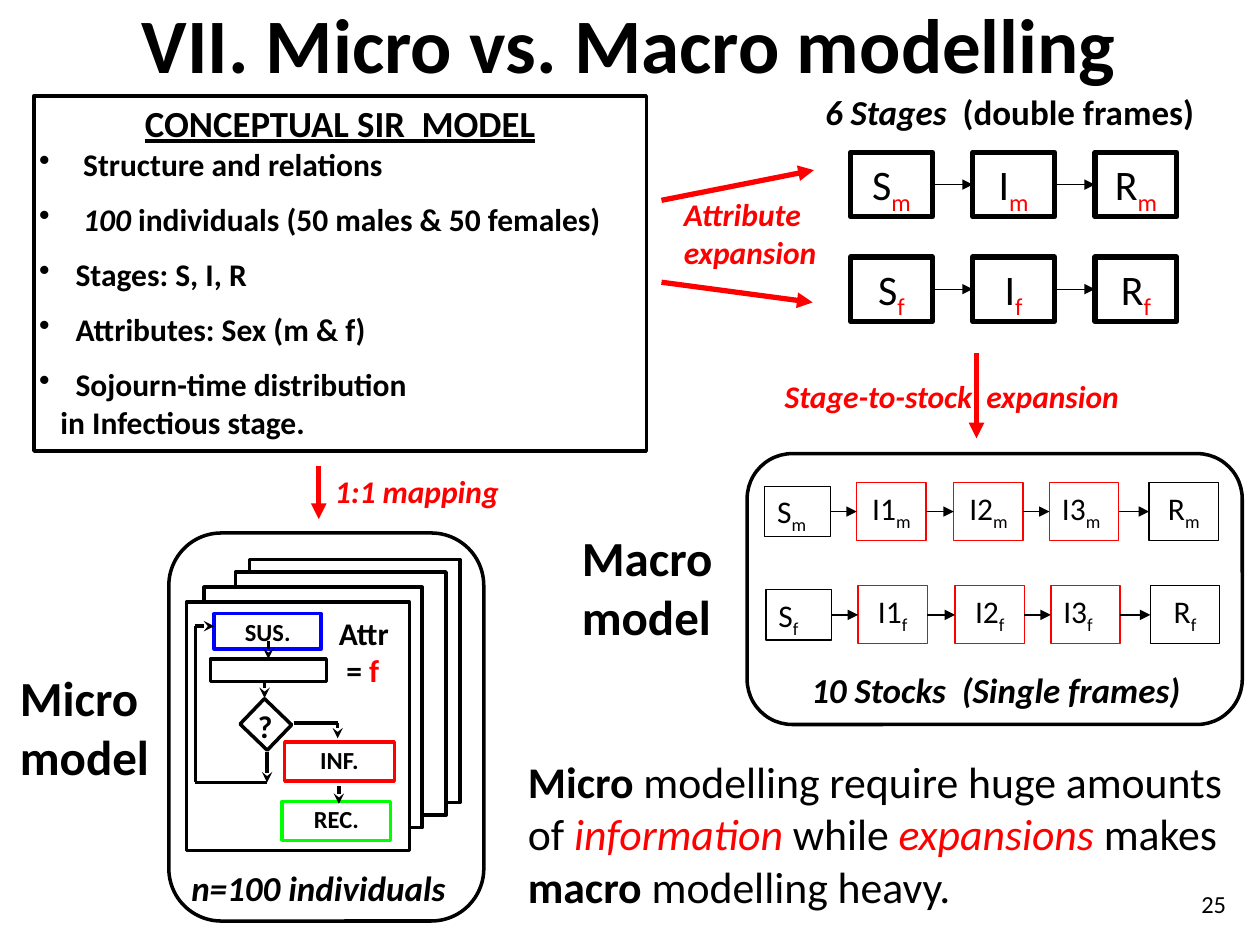
"""Build the slide that compares micro and macro modelling of an SIR model."""
from dataclasses import dataclass, replace
from typing import NamedTuple, Optional

from lxml import etree
from pptx import Presentation
from pptx.dml.color import RGBColor
from pptx.enum.shapes import MSO_CONNECTOR, MSO_SHAPE
from pptx.enum.text import MSO_ANCHOR, PP_ALIGN
from pptx.oxml.ns import qn
from pptx.util import Inches, Pt

RECTANGLE, ROUNDED = MSO_SHAPE.RECTANGLE, MSO_SHAPE.ROUNDED_RECTANGLE
STRAIGHT = MSO_CONNECTOR.STRAIGHT
LEFT, CENTER, RIGHT = PP_ALIGN.LEFT, PP_ALIGN.CENTER, PP_ALIGN.RIGHT
TOP, MIDDLE = MSO_ANCHOR.TOP, MSO_ANCHOR.MIDDLE
COLORS = {"ink": "000000", "paper": "FFFFFF", "red": "FF0000", "green": "00FF00", "blue": "0000FF"}
FONT = "Calibri"
WIDTH, HEIGHT = Inches(10), Inches(7.5)
COLUMN, ROW = WIDTH / 100, HEIGHT / 75


class Area(NamedTuple):
    left: float
    top: float
    width: float
    height: float


class Span(NamedTuple):
    text: str
    color: Optional[str] = None
    bold: Optional[bool] = None
    italic: Optional[bool] = None
    lowered: bool = False


@dataclass(frozen=True)
class Para:
    spans: tuple
    size: float = 18
    color: str = "ink"
    bold: Optional[bool] = None
    italic: Optional[bool] = None
    underline: Optional[bool] = None
    align: int = LEFT
    before: float = 0
    spacing: float = 1
    indent: float = 0
    bullet: bool = False


@dataclass(frozen=True)
class Box:
    area: Area
    line: Optional[str] = "ink"
    weight: float = 2
    paras: tuple = ()
    fill: Optional[str] = None
    kind: int = RECTANGLE
    turn: float = 0
    inset: float = 0.1
    inset_top: float = 0.05
    anchor: int = TOP


class Arrow(NamedTuple):
    start: tuple
    end: tuple
    color: str = "ink"
    weight: float = 2
    head: Optional[str] = "stealth"


def rgb(name: str) -> RGBColor:
    return RGBColor.from_string(COLORS[name])


def write_para(paragraph, para: Para) -> None:
    paragraph.alignment = para.align
    paragraph.line_spacing = para.spacing
    if para.before:
        paragraph.space_before = Pt(para.before)
    properties = paragraph._p.get_or_add_pPr()
    if para.indent:
        properties.set("marL", str(Inches(para.indent)))
    if para.bullet:
        properties.set("indent", str(-Inches(para.indent)))
        etree.SubElement(properties, qn("a:buChar")).set("char", "•")
    font = paragraph.font
    font.name, font.size, font.underline = FONT, Pt(para.size), para.underline
    font.bold, font.italic = para.bold, para.italic
    font.color.rgb = rgb(para.color)
    for span in para.spans:
        run = paragraph.add_run()
        run.text = span.text
        if span.bold is not None:
            run.font.bold = span.bold
        if span.italic is not None:
            run.font.italic = span.italic
        if span.color:
            run.font.color.rgb = rgb(span.color)
        if span.lowered:
            run._r.get_or_add_rPr().set("baseline", "-25000")


def draw_box(page, box: Box):
    left, top, width, height = box.area
    place = [round(value) for value in (left * COLUMN, top * ROW, width * COLUMN, height * ROW)]
    if box.line is None:
        shape = page.shapes.add_textbox(*place)
    else:
        shape = page.shapes.add_shape(box.kind, *place)
        shape.shadow.inherit = False
        shape.rotation = box.turn
        shape.line.color.rgb = rgb(box.line)
        shape.line.width = Pt(box.weight)
        if box.fill:
            shape.fill.solid()
            shape.fill.fore_color.rgb = rgb(box.fill)
        else:
            shape.fill.background()
    frame = shape.text_frame
    frame.word_wrap = True
    frame.vertical_anchor = box.anchor
    frame.margin_left = frame.margin_right = Inches(box.inset)
    frame.margin_top = frame.margin_bottom = Inches(box.inset_top)
    for index, para in enumerate(box.paras):
        write_para(frame.add_paragraph() if index else frame.paragraphs[0], para)
    return shape


def draw_arrow(page, arrow: Arrow):
    (x1, y1), (x2, y2) = arrow.start, arrow.end
    ends = (x1 * COLUMN, y1 * ROW, x2 * COLUMN, y2 * ROW)
    connector = page.shapes.add_connector(STRAIGHT, *(round(value) for value in ends))
    connector.line.color.rgb = rgb(arrow.color)
    connector.line.width = Pt(arrow.weight)
    if arrow.head:
        etree.SubElement(connector.line._get_or_add_ln(), qn("a:tailEnd")).set("type", arrow.head)
    etree.SubElement(connector._element.spPr, qn("a:effectLst"))
    return connector


def draw_chain(page, boxes: list) -> None:
    shapes = [draw_box(page, box) for box in boxes]
    for before, after in zip(shapes, shapes[1:]):
        connector = draw_arrow(page, Arrow((0, 0), (1, 1), weight=0.75, head="triangle"))
        connector.begin_connect(before, 3)
        connector.end_connect(after, 1)


def label(area: Area, text: str, size: float = 18, **style) -> Box:
    return Box(area, None, paras=(Para((Span(text),), size, bold=True, **style),))


def symbol(name: str, sex: str, size: float, align: int, color: str) -> tuple:
    return (Para((Span(name), Span(sex, color, lowered=True)), size, align=align),)


def state(area: Area, text: str, color: str) -> Box:
    return Box(area, color, paras=(Para((Span(text),), 14, bold=True, align=CENTER, spacing=0.9),))


def stages(sex: str, top: float) -> list:
    return [Box(Area(67.5 + 9.7 * index, top, 6.5, 5.1), weight=3, paras=symbol(name, sex, 24, CENTER, "red"))
            for index, name in enumerate("SIR")]


def stocks(sex: str, shift: float, middle: float) -> list:
    cells = [("S", 60.7, 5.2, 4, LEFT, "ink"), ("I1", 68, 5.5, 4.6, CENTER, "red"),
             ("I2", 75.7, 5.5, 4.6, CENTER, "red"), ("I3", 83.3, 5.5, 4.6, LEFT, "red"),
             ("R", 91.2, 5.5, 4.6, CENTER, "ink")]
    return [Box(Area(left + shift, middle - height / 2, width, height), line, 0.75, symbol(name, sex, 18, align, "ink"))
            for name, left, width, height, align, line in cells]


ITEM = Para((), bold=True, before=9.8, indent=0.29, bullet=True)
CONCEPT = (
    Para((Span("CONCEPTUAL SIR  MODEL"),), 21, bold=True, underline=True, align=CENTER),
    replace(ITEM, spans=(Span("Structure and relations"),), before=0, indent=0.35),
    replace(ITEM, spans=(Span("100", italic=True), Span(" individuals (50 males & 50 females)")), indent=0.35),
    *(replace(ITEM, spans=(Span(text),))
      for text in ("Stages: S, I, R", "Attributes: Sex (m & f)", "Sojourn-time distribution")),
    replace(ITEM, spans=(Span("in Infectious stage."),), before=0, indent=0.17, bullet=False),
)
CLAIM = (Span("Micro", bold=True), Span(" modelling require huge amounts of "), Span("information", "red", italic=True),
         Span(" while "), Span("expansions", "red", italic=True), Span(" makes "), Span("macro", bold=True),
         Span(" modelling heavy."))
CARDS = [Area(19.8, 44.4, 16.7, 19.3), Area(18.7, 45.4, 16.7, 19.3),
         Area(16.2, 46.6, 17.3, 19.1), Area(14.8, 47.8, 17.7, 19.7)]
BOXES = [
    Box(Area(93.3, 70.1, 5, 4.9), None, paras=(Para((Span("25"),), 14, align=RIGHT),)),
    replace(label(Area(10.8, 0.9, 78.3, 4.9), "VII. Micro vs. Macro modelling", 44, align=CENTER),
            inset=0.02, anchor=MIDDLE),
    Box(Area(64.5, 6.7, 34.7, 4.4), None, paras=(
        Para((Span("6 Stages  ", italic=True), Span("(double frames)")), 20, bold=True),)),
    label(Area(61.3, 29.4, 31.7, 4), "Stage-to-stock  expansion", color="red", italic=True),
    label(Area(53.3, 15, 13, 7.1), "Attribute expansion", color="red", italic=True),
    Box(Area(2.7, 7.6, 48.6, 28.2), paras=CONCEPT, fill="paper", inset=0.04, inset_top=0.04),
    label(Area(25.6, 37, 16.7, 4), "1:1 mapping", color="red", italic=True),
    label(Area(63.4, 52.6, 35.8, 4.4), "10 Stocks  (Single frames)", 20, italic=True),
    Box(Area(59.3, 36, 39.3, 21.5), kind=ROUNDED),
    label(Area(45.2, 41.4, 13.6, 10.4), "Macro model", 28),
    Box(Area(13.4, 42.3, 25, 30.8), kind=ROUNDED),
    *(Box(card, fill="paper") for card in CARDS),
    state(Area(22.6, 58.9, 8.7, 3.1), "INF.", "red"),
    Box(Area(19.6, 56.1, 3, 2.8), turn=43.9),
    label(Area(18.8, 56.1, 4.5, 3.6), "?", align=CENTER, spacing=0.85),
    state(Area(22.4, 63.6, 8.6, 3.1), "REC.", "green"),
    state(Area(17, 48.7, 8.5, 2.8), "SUS.", "blue"),
    label(Area(14.2, 68.3, 23.6, 4.4), "n=100 individuals", 20, italic=True),
    label(Area(0.6, 52.5, 12.3, 10.4), "Micro model", 28),
    Box(Area(25.9, 48.2, 9.2, 7.1), None, paras=(
        Para((Span("Attr"),), bold=True), Para((Span("= "), Span("f", "red")), bold=True, indent=0.06))),
    Box(Area(41.7, 59.4, 56.6, 13.6), None, paras=(Para(CLAIM, 25),), inset=0.02),
]
EXPANSIONS = [((77.5, 28), (77.5, 34.8)), ((52.5, 22.4), (64.5, 24)),
              ((52.5, 15.9), (64.6, 13.5)), ((25.3, 37), (25.3, 41.2))]
ARROWS = [
    *(Arrow(start, end, "red", 3, "triangle") for start, end in EXPANSIONS),
    Arrow((23.3, 57.4), (26.8, 57.4), head=None), Arrow((26.8, 57.4), (26.8, 58.6)),
    Arrow((21.2, 59.7), (21.2, 62.1)), Arrow((15.5, 62.1), (21.2, 62.1), head=None),
    Arrow((15.5, 49.7), (15.5, 62.1), head=None), Arrow((15.5, 49.7), (17, 49.7)),
    Arrow((21, 54.2), (21, 55.4)), Arrow((26.9, 62.4), (26.9, 63.8)),
]


def main() -> None:
    deck = Presentation()
    deck.slide_width, deck.slide_height = WIDTH, HEIGHT
    page = deck.slides.add_slide(deck.slide_layouts[6])
    for box in BOXES:
        draw_box(page, box)
    delay = draw_box(page, Box(Area(16.7, 52.3, 9.2, 1.8)))
    draw_arrow(page, Arrow((21.3, 50.9), (21.3, 52.3))).end_connect(delay, 0)
    for arrow in ARROWS:
        draw_arrow(page, arrow)
    for sex, stage_top, shift, stock_middle in (("m", 12.1, 0, 40.6), ("f", 20.4, 0.1, 48.8)):
        draw_chain(page, stages(sex, stage_top))
        draw_chain(page, stocks(sex, shift, stock_middle))
    deck.save("out.pptx")


if __name__ == "__main__":
    main()
